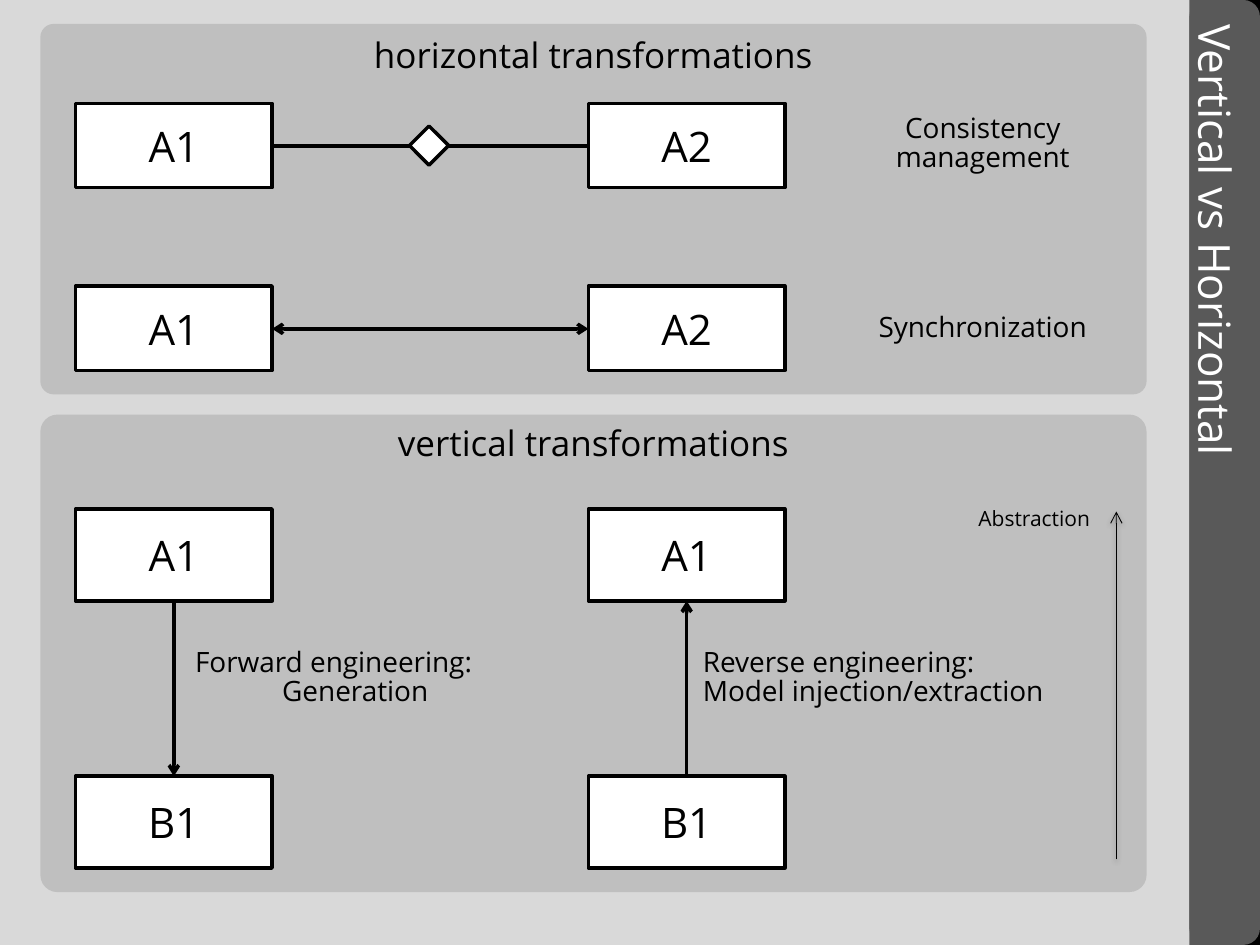
from lxml import etree
from pptx import Presentation
from pptx.dml.color import RGBColor
from pptx.enum.shapes import MSO_CONNECTOR, MSO_SHAPE
from pptx.enum.text import MSO_ANCHOR, PP_ALIGN
from pptx.oxml.ns import qn
from pptx.util import Inches, Pt

BLACK = RGBColor(0x00, 0x00, 0x00)
WHITE = RGBColor(0xFF, 0xFF, 0xFF)
DARK = RGBColor(0x59, 0x59, 0x59)
PANEL = RGBColor(0xBF, 0xBF, 0xBF)
PAPER = RGBColor(0xD9, 0xD9, 0xD9)
FONT = "Open Sans"
RECT, ROUND, GEM = MSO_SHAPE.RECTANGLE, MSO_SHAPE.ROUNDED_RECTANGLE, MSO_SHAPE.DIAMOND
LEFT, MID, RIGHT = PP_ALIGN.LEFT, PP_ALIGN.CENTER, PP_ALIGN.RIGHT
CENTER, TOP = MSO_ANCHOR.MIDDLE, MSO_ANCHOR.TOP

deck = Presentation()
deck.slide_width, deck.slide_height = Inches(10), Inches(7.5)
UNIT = deck.slide_width // 100  # grid of 100 columns by 75 rows
slide = deck.slides.add_slide(deck.slide_layouts[5])
slide.background.fill.solid()
slide.background.fill.fore_color.rgb = PAPER


def draw(kind, box, fill, line=False, bend=None):
    shape = slide.shapes.add_shape(kind, *[int(n * UNIT) for n in box])
    shape.shadow.inherit = False
    shape.fill.solid()
    shape.fill.fore_color.rgb = fill
    if line:
        shape.line.color.rgb = BLACK
        shape.line.width = Pt(2)
    else:
        shape.line.fill.background()
    if bend:
        shape.adjustments[0] = bend
    return shape


def write(frame, lines, size, aligns, color=BLACK, space=1.0, anchor=CENTER):
    frame.word_wrap = True
    frame.vertical_anchor = anchor
    for i, (line, align) in enumerate(zip(lines, aligns)):
        par = frame.add_paragraph() if i else frame.paragraphs[0]
        par.text = line
        gap = Pt(size / 5 if i else 0)
        form = {"alignment": align, "line_spacing": space, "space_before": gap}
        for key, value in form.items():
            setattr(par, key, value)
        for key, value in {"name": FONT, "size": Pt(size), "bold": False}.items():
            setattr(par.font, key, value)
        par.font.color.rgb = color


# Side band and panels
for kind, box, fill, bend in (
    (RECT, (95.2, 0, 4.8, 75), BLACK, None),
    (ROUND, (94.4, 0, 5.6, 75), DARK, 0.235),
    (RECT, (94.4, 0, 4, 75), DARK, None),
    (ROUND, (3.2, 32.9, 87.8, 37.9), PANEL, 0.036),
    (ROUND, (3.2, 1.9, 87.8, 29.4), PANEL, 0.036),
):
    draw(kind, box, fill, bend=bend)

# Title, moved in front of the band and turned to read downwards
title = slide.shapes.title
tree = title._element.getparent()
tree.remove(title._element)
tree.append(title._element)
place = zip(("left", "top", "width", "height"), (61.6, 33.6, 69.8, 5.5))
for key, n in place:
    setattr(title, key, int(n * UNIT))
title.rotation = 90
frame = title.text_frame
write(frame, ["Vertical vs Horizontal"], 25.2, [LEFT], WHITE)
for side in ("left", "top", "right", "bottom"):
    setattr(frame, "margin_" + side, Inches(0.05))

# Model boxes: two columns, four rows
COLS, WIDE = (6, 46.7), 15.6
for top, high, names in (
    (8.2, 6.7, ("A1", "A2")),
    (22.7, 6.7, ("A1", "A2")),
    (40.4, 7.3, ("A1", "A1")),
    (61.6, 7.3, ("B1", "B1")),
):
    for left, name in zip(COLS, names):
        box = draw(RECT, (left, top, WIDE, high), WHITE, line=True)
        write(box.text_frame, [name], 24, [MID])
draw(GEM, (32.5, 10, 3.1, 3.1), WHITE, line=True)

# Links: start, end, width, arrowheads, soft shadow
EDGE = COLS[0] + WIDE
DOWN, UP = [left + WIDE / 2 for left in COLS]
for ends, width, heads, soft in (
    ((35.6, 11.6, COLS[1], 11.6), 2, (), False),
    ((32.5, 11.6, EDGE, 11.6), 2, (), False),
    ((EDGE, 26.1, COLS[1], 26.1), 2, ("headEnd", "tailEnd"), False),
    ((DOWN, 47.7, DOWN, 61.6), 2, ("tailEnd",), False),
    ((UP, 47.7, UP, 61.6), 2, ("headEnd",), False),
    ((88.6, 68.2, 88.6, 40.6), 0.5, ("tailEnd",), True),
):
    link = slide.shapes.add_connector(MSO_CONNECTOR.STRAIGHT, *[int(n * UNIT) for n in ends])
    link.line.color.rgb = BLACK
    link.line.width = Pt(width)
    for head in heads:
        etree.SubElement(link.line._get_or_add_ln(), qn("a:" + head), type="arrow")
    glow = etree.SubElement(link._element.spPr, qn("a:effectLst"))
    if soft:
        cast = etree.SubElement(glow, qn("a:outerShdw"), blurRad=str(Pt(3.1)),
                                dist=str(Pt(1.6)), dir="5400000", rotWithShape="0")
        tint = etree.SubElement(cast, qn("a:srgbClr"), val=str(BLACK))
        etree.SubElement(tint, qn("a:alpha"), val="38000")

# Labels
for box, lines, size, aligns, space, anchor in (
    ((27.1, -0.3, 40, 10), ["horizontal transformations"], 20, [MID], 0.7, CENTER),
    ((27.1, 33, 40, 10), ["vertical transformations"], 20, [MID], 1.0, TOP),
    ((64.3, 6.6, 27.4, 10), ["Consistency", "management"], 16, [MID, MID], 0.7, CENTER),
    ((64.3, 21.2, 27.4, 10), ["Synchronization"], 16, [MID], 0.7, CENTER),
    ((14.5, 48.5, 27.4, 10.9), ["Forward engineering:", "Generation"], 16,
     [LEFT, MID], 0.7, CENTER),
    ((54.8, 48.5, 30.4, 10.9), ["Reverse engineering:", "Model injection/extraction"], 16,
     [LEFT, LEFT], 0.7, CENTER),
    ((72, 35.9, 15.5, 10.9), ["Abstraction"], 12, [RIGHT], 0.7, CENTER),
):
    label = slide.shapes.add_textbox(*[int(n * UNIT) for n in box])
    write(label.text_frame, lines, size, aligns, space=space, anchor=anchor)

deck.save("out.pptx")
